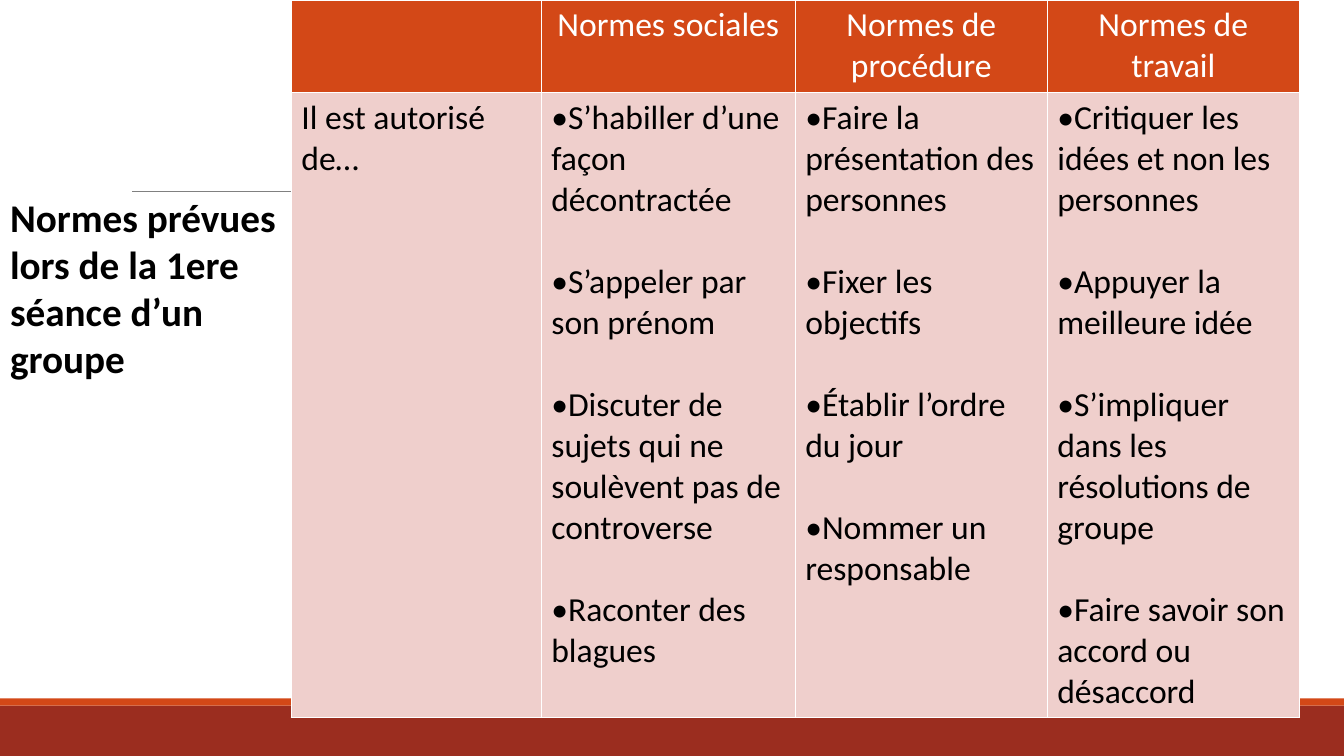
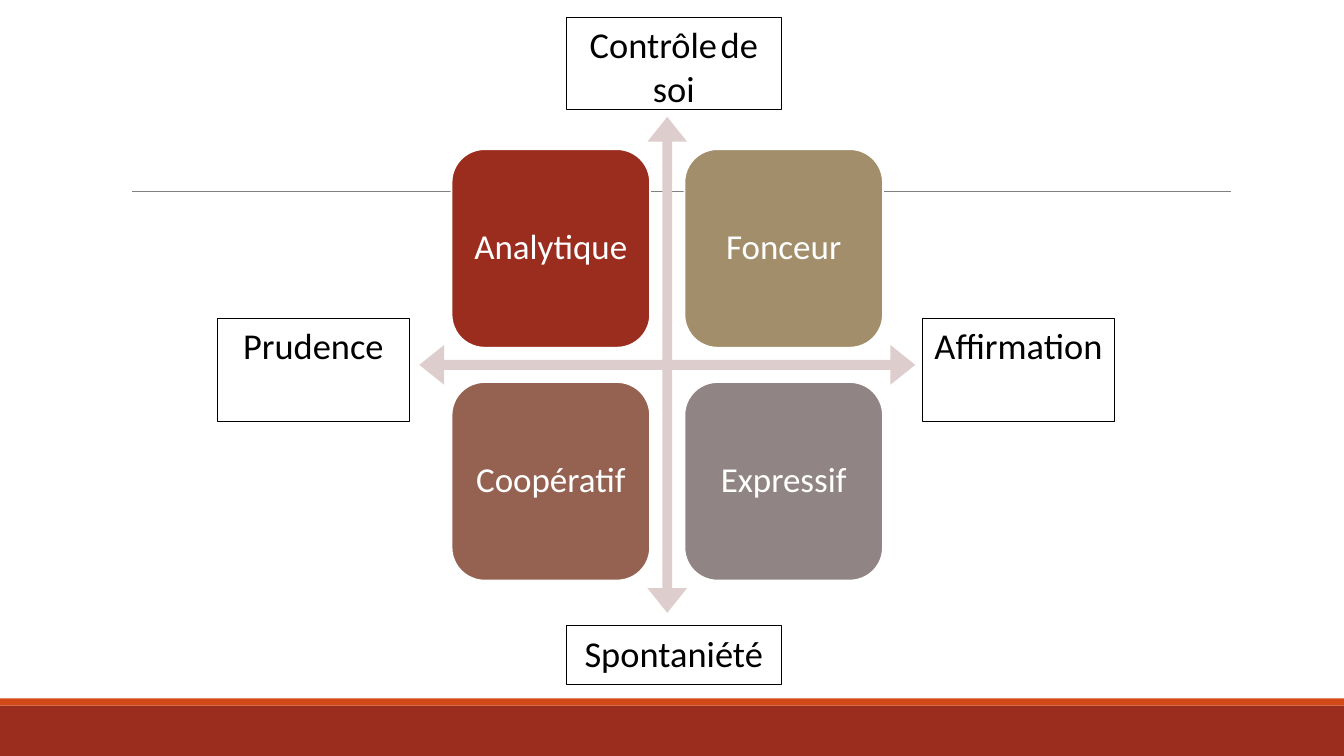
from dataclasses import dataclass

from lxml.etree import SubElement
from pptx import Presentation
from pptx.dml.color import RGBColor
from pptx.enum.shapes import MSO_CONNECTOR, MSO_SHAPE as Preset
from pptx.enum.text import MSO_ANCHOR as Anchor, PP_ALIGN as Align
from pptx.oxml.ns import qn
from pptx.presentation import Presentation as Deck
from pptx.shapes.autoshape import Shape
from pptx.slide import Slide
from pptx.table import _Cell as Cell
from pptx.text.text import _Paragraph as Paragraph
from pptx.util import Inches, Pt

BLACK = RGBColor(0x00, 0x00, 0x00)
WHITE = RGBColor(0xFF, 0xFF, 0xFF)
BRICK = RGBColor(0x9B, 0x2D, 0x1F)
ORANGE = RGBColor(0xD3, 0x48, 0x17)
PINK = RGBColor(0xEF, 0xCF, 0xCC)
ROSE = RGBColor(0xDE, 0xCD, 0xCD)
SAND = RGBColor(0xA2, 0x8E, 0x6A)
CLAY = RGBColor(0x95, 0x62, 0x51)
TAUPE = RGBColor(0x91, 0x84, 0x85)
GREY = RGBColor(0x80, 0x80, 0x80)

FONT = "Calibri"
SLIDE_HEIGHT = 7.5
SLIDE_WIDTH = SLIDE_HEIGHT * 16 / 9
TITLE_ONLY, BLANK = 5, 6
NORM_SIZE = 24
NORM_GAP = 29.2


@dataclass(frozen=True)
class Box:
    left: float
    top: float
    width: float
    height: float

    def lengths(self) -> tuple[Inches, ...]:
        return tuple(Inches(v) for v in (self.left, self.top, self.width, self.height))


@dataclass(frozen=True)
class NormColumn:
    heading: str
    width: float
    norms: tuple[str, ...]
    bulleted: bool = True


@dataclass(frozen=True)
class Style:
    name: str
    column: int
    row: int
    color: RGBColor


@dataclass(frozen=True)
class Pole:
    box: Box
    runs: tuple[tuple[str, int], ...]


BANDS = (
    (Box(0, 7, SLIDE_WIDTH, 0.5), BRICK),
    (Box(0, 6.93, SLIDE_WIDTH, 0.07), ORANGE),
)

NORM_COLUMNS = (
    NormColumn("", 2.48, ("Il est autorisé de…",), bulleted=False),
    NormColumn("Normes sociales", 2.52, (
        "S’habiller d’une façon décontractée",
        "S’appeler par son prénom",
        "Discuter de sujets qui ne soulèvent pas de controverse",
        "Raconter des blagues",
    )),
    NormColumn("Normes de procédure", 2.5, (
        "Faire la présentation des personnes",
        "Fixer les objectifs",
        "Établir l’ordre du jour",
        "Nommer un responsable",
    )),
    NormColumn("Normes de travail", 2.5, (
        "Critiquer les idées et non les personnes",
        "Appuyer la meilleure idée",
        "S’impliquer dans les résolutions de groupe",
        "Faire savoir son accord ou désaccord",
    )),
)
HEADING_HEIGHT, NORMS_HEIGHT = 0.92, 6.19

STYLES = (
    Style("Analytique", 0, 0, BRICK),
    Style("Fonceur", 1, 0, SAND),
    Style("Coopératif", 0, 1, CLAY),
    Style("Expressif", 1, 1, TAUPE),
)
AXES = Box(4.16, 1.16, 4.92, 4.92)
TILE_SIDE, TILE_PITCH, TILE_MARGIN = 1.97, 2.31, 0.32

POLES = (
    Pole(Box(5.62, 0.17, 2.13, 0.92), (("Contrôle", 26), (" ", 11), ("de soi", 26))),
    Pole(Box(5.62, 6.21, 2.13, 0.58), (("Spontaniété", 26),)),
    Pole(Box(2.16, 3.16, 1.9, 1.02), (("Prudence", 26),)),
    Pole(Box(9.15, 3.16, 1.91, 1.02), (("Affirmation", 26),)),
)


def add_run(paragraph: Paragraph, text: str, size: int, color: RGBColor, bold: bool = False) -> None:
    run = paragraph.add_run()
    run.text = text
    run.font.name = FONT
    run.font.size = Pt(size)
    run.font.bold = bold
    run.font.color.rgb = color


def add_block(slide: Slide, preset: Preset, box: Box, fill: RGBColor,
              line: RGBColor | None = None, line_width: float = 0.75) -> Shape:
    block = slide.shapes.add_shape(preset, *box.lengths())
    block.shadow.inherit = False
    block.fill.solid()
    block.fill.fore_color.rgb = fill
    if line is None:
        block.line.fill.background()
    else:
        block.line.color.rgb = line
        block.line.width = Pt(line_width)
    return block


def decorate_master(deck: Deck, slide: Slide) -> None:
    decorations = [add_block(slide, Preset.RECTANGLE, box, color) for box, color in BANDS]
    rule = slide.shapes.add_connector(
        MSO_CONNECTOR.STRAIGHT, Inches(1.31), Inches(1.9), Inches(12.21), Inches(1.9))
    rule.line.color.rgb = GREY
    rule.line.width = Pt(0.5)
    SubElement(rule._element.spPr, qn("a:effectLst"))
    decorations.append(rule)
    master_tree = deck.slide_master.element.cSld.spTree
    for shape_id, decoration in enumerate(decorations, start=101):
        decoration._element.xpath(".//p:cNvPr")[0].set("id", str(shape_id))
        master_tree.append(decoration._element)


def style_cell(cell: Cell, fill: RGBColor) -> None:
    properties = cell._tc.get_or_add_tcPr()
    for side in ("lnL", "lnR", "lnT", "lnB"):
        border = SubElement(properties, qn(f"a:{side}"), w=str(Pt(1)))
        border_fill = SubElement(border, qn("a:solidFill"))
        SubElement(border_fill, qn("a:srgbClr"), val=str(WHITE))
    cell.fill.solid()
    cell.fill.fore_color.rgb = fill


def fill_norms(cell: Cell, column: NormColumn) -> None:
    for index, norm in enumerate(column.norms):
        paragraph = cell.text_frame.add_paragraph() if index else cell.text_frame.paragraphs[0]
        if index:
            paragraph.space_before = Pt(NORM_GAP)
        if column.bulleted:
            properties = paragraph._p.get_or_add_pPr()
            SubElement(properties, qn("a:buFont"), typeface=FONT)
            SubElement(properties, qn("a:buChar"), char="•")
        add_run(paragraph, norm, NORM_SIZE, BLACK)


def build_norms(slide: Slide) -> None:
    title = slide.shapes.title
    title.left, title.top, title.width, title.height = Box(0, 1.87, 2.99, 1.99).lengths()
    title.text_frame.word_wrap = True
    title.text_frame.vertical_anchor = Anchor.TOP
    heading = title.text_frame.paragraphs[0]
    heading.alignment = Align.LEFT
    add_run(heading, "Normes prévues lors de la 1ere séance d’un groupe", 28, BLACK, bold=True)

    area = Box(2.89, 0, sum(column.width for column in NORM_COLUMNS), HEADING_HEIGHT + NORMS_HEIGHT)
    table = slide.shapes.add_table(2, len(NORM_COLUMNS), *area.lengths()).table
    table.rows[0].height = Inches(HEADING_HEIGHT)
    table.rows[1].height = Inches(NORMS_HEIGHT)
    for index, column in enumerate(NORM_COLUMNS):
        table.columns[index].width = Inches(column.width)
        heading_cell, norms_cell = table.cell(0, index), table.cell(1, index)
        style_cell(heading_cell, ORANGE)
        style_cell(norms_cell, PINK)
        if column.heading:
            heading = heading_cell.text_frame.paragraphs[0]
            heading.alignment = Align.CENTER
            add_run(heading, column.heading, NORM_SIZE, WHITE)
        fill_norms(norms_cell, column)


def add_style_tile(slide: Slide, style: Style) -> None:
    box = Box(AXES.left + TILE_MARGIN + style.column * TILE_PITCH,
              AXES.top + TILE_MARGIN + style.row * TILE_PITCH, TILE_SIDE, TILE_SIDE)
    tile = add_block(slide, Preset.ROUNDED_RECTANGLE, box, style.color, WHITE, 1.25)
    frame = tile.text_frame
    frame.word_wrap = True
    frame.vertical_anchor = Anchor.MIDDLE
    frame.margin_left = frame.margin_right = Inches(0.02)
    label = frame.paragraphs[0]
    label.alignment = Align.CENTER
    label.line_spacing = 0.9
    add_run(label, style.name, 25, WHITE)


def add_pole(slide: Slide, pole: Pole) -> None:
    frame = add_block(slide, Preset.RECTANGLE, pole.box, WHITE, BLACK).text_frame
    frame.word_wrap = True
    frame.vertical_anchor = Anchor.TOP
    label = frame.paragraphs[0]
    label.alignment = Align.CENTER
    for text, size in pole.runs:
        add_run(label, text, size, BLACK)


def build_styles(slide: Slide) -> None:
    axes = add_block(slide, Preset.QUAD_ARROW, AXES, ROSE)
    for index, value in enumerate((0.02, 0.04, 0.05)):
        axes.adjustments[index] = value
    for style in STYLES:
        add_style_tile(slide, style)
    for pole in POLES:
        add_pole(slide, pole)


def main() -> None:
    deck = Presentation()
    deck.slide_width, deck.slide_height = Inches(SLIDE_WIDTH), Inches(SLIDE_HEIGHT)
    norms_slide = deck.slides.add_slide(deck.slide_layouts[TITLE_ONLY])
    decorate_master(deck, norms_slide)
    build_norms(norms_slide)
    build_styles(deck.slides.add_slide(deck.slide_layouts[BLANK]))
    deck.save("out.pptx")


if __name__ == "__main__":
    main()
